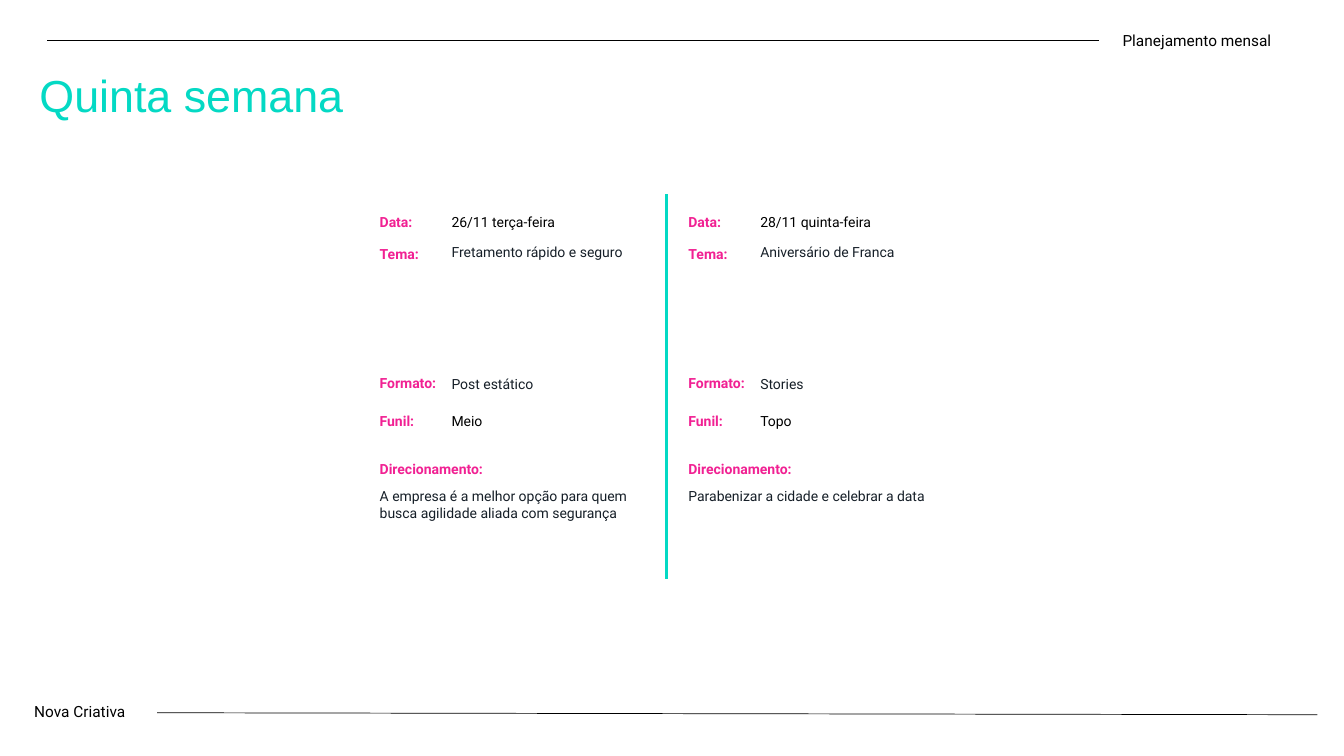
from dataclasses import dataclass
from lxml.etree import SubElement
from pptx import Presentation
from pptx.dml.color import RGBColor
from pptx.enum.shapes import MSO_CONNECTOR
from pptx.enum.text import MSO_ANCHOR, MSO_AUTO_SIZE, PP_ALIGN
from pptx.oxml.ns import qn
from pptx.util import Cm, Pt


@dataclass(frozen=True)
class Theme:
    teal: str = "04D9C4"
    pink: str = "F12193"
    dark: str = "161F28"
    black: str = "000000"
    title_font: str = "Arial"
    font: str = "Roboto"
    title: int = 32
    margin: int = 11
    body: int = 10
    rule: float = 0.5
    divider: int = 2


T = Theme()

TITLE = "Quinta semana"
HEADER = "Planejamento mensal"
FOOTER = "Nova Criativa"
FIELDS = [
    ("Data:", 5.26, 5.26, T.black),
    ("Tema:", 6.05, 6.02, T.dark),
    ("Formato:", 9.3, 9.35, T.dark),
    ("Funil:", 10.26, 10.26, T.black),
]
GUIDANCE = "Direcionamento:"
POSTS = [
    (["26/11 terça-feira", "Fretamento rápido e seguro", "Post estático", "Meio"],
     "A empresa é a melhor opção para quem busca agilidade aliada com segurança"),
    (["28/11 quinta-feira", "Aniversário de Franca", "Stories", "Topo"],
     "Parabenizar a cidade e celebrar a data"),
]
RULES = [
    (1.19, 1.02, 27.69, 1.02, T.black, T.rule),
    (3.96, 17.96, 33.2, 18.01, T.black, T.rule),
    (16.79, 4.9, 16.79, 14.58, T.teal, T.divider),
]

POST_LEFT, POST_STEP = 9.32, 7.78
VALUE_SHIFT, LABEL_W, VALUE_W, GUIDANCE_W = 1.81, 2.13, 5.64, 7.49
GUIDANCE_TOP, GUIDANCE_TEXT_TOP = 11.48, 12.17
LINE_H = 0.68


def write(tf, text, size, color, font=T.font, bold=False):
    tf.word_wrap = True
    tf.text = text
    for r in tf.paragraphs[0].runs:
        r.font.name = font
        r.font.size = Pt(size)
        r.font.bold = bold
        r.font.color.rgb = RGBColor.from_string(color)


def add_text(s, text, x, y, w, h=LINE_H, size=T.body, color=T.dark, bold=False):
    tf = s.shapes.add_textbox(Cm(x), Cm(y), Cm(w), Cm(h)).text_frame
    write(tf, text, size, color, bold=bold)


def add_rule(s, x1, y1, x2, y2, color, width):
    line = s.shapes.add_connector(MSO_CONNECTOR.STRAIGHT, Cm(x1), Cm(y1), Cm(x2), Cm(y2))
    line.line.color.rgb = RGBColor.from_string(color)
    line.line.width = Pt(width)
    SubElement(line._element.spPr, qn("a:effectLst"))


def add_title(s):
    sp = s.shapes.title
    sp.left, sp.top, sp.width, sp.height = Cm(0.74), Cm(1.57), Cm(28.27), Cm(1.63)
    tf = sp.text_frame
    write(tf, TITLE, T.title, T.teal, T.title_font)
    tf.auto_size = MSO_AUTO_SIZE.NONE
    tf.vertical_anchor = MSO_ANCHOR.TOP
    tf.paragraphs[0].alignment = PP_ALIGN.LEFT


def add_post(s, x, values, guidance):
    for (label, label_y, value_y, color), value in zip(FIELDS, values):
        add_text(s, label, x, label_y, LABEL_W, color=T.pink, bold=True)
        add_text(s, value, x + VALUE_SHIFT, value_y, VALUE_W, color=color)
    add_text(s, GUIDANCE, x, GUIDANCE_TOP, 3.61, color=T.pink, bold=True)
    add_text(s, guidance, x, GUIDANCE_TEXT_TOP, GUIDANCE_W, 1.12)


def main():
    prs = Presentation()
    prs.slide_width, prs.slide_height = Cm(33.87), Cm(19.05)
    s = prs.slides.add_slide(prs.slide_layouts[5])
    add_title(s)
    add_text(s, HEADER, 28.04, 0.66, 5.31, 0.74, T.margin, T.black)
    add_text(s, FOOTER, 0.61, 17.58, 3.2, 0.74, T.margin, T.black)
    for rule in RULES:
        add_rule(s, *rule)
    for i, (values, guidance) in enumerate(POSTS):
        add_post(s, POST_LEFT + i * POST_STEP, values, guidance)
    prs.save("out.pptx")


if __name__ == "__main__":
    main()
